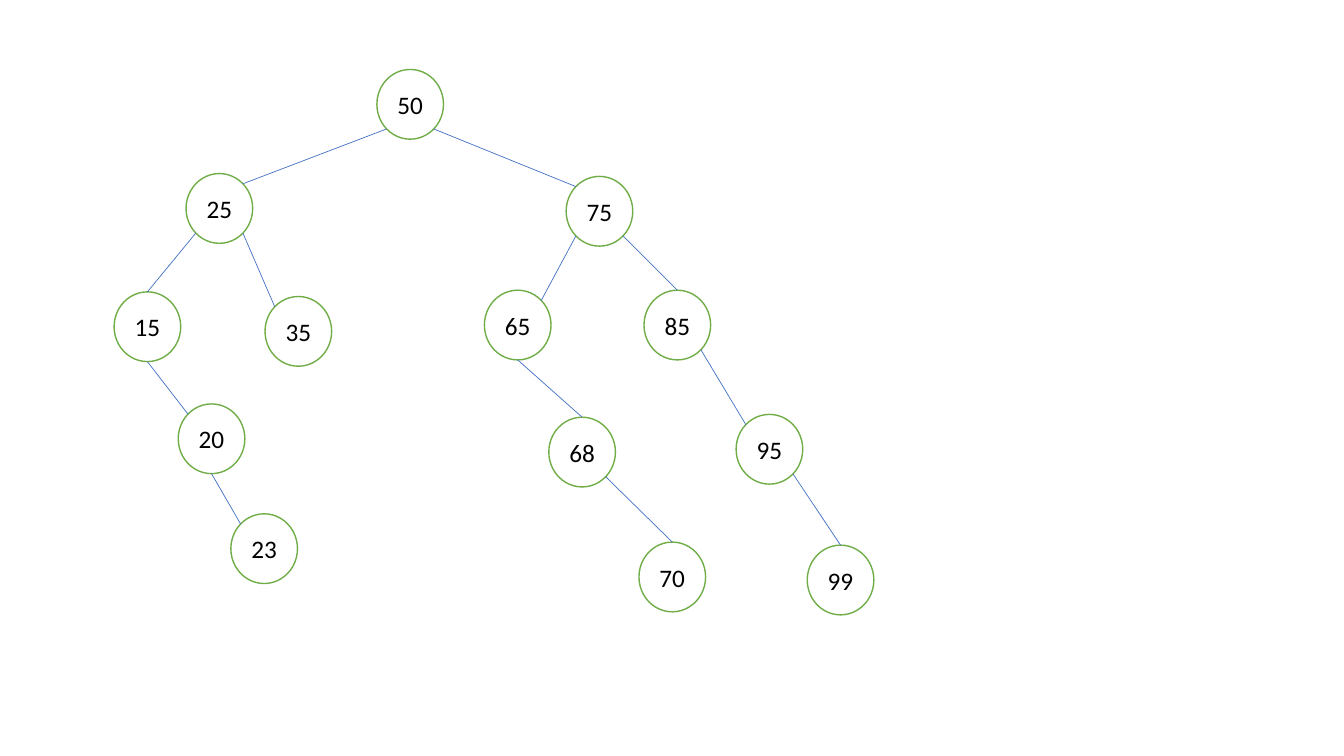
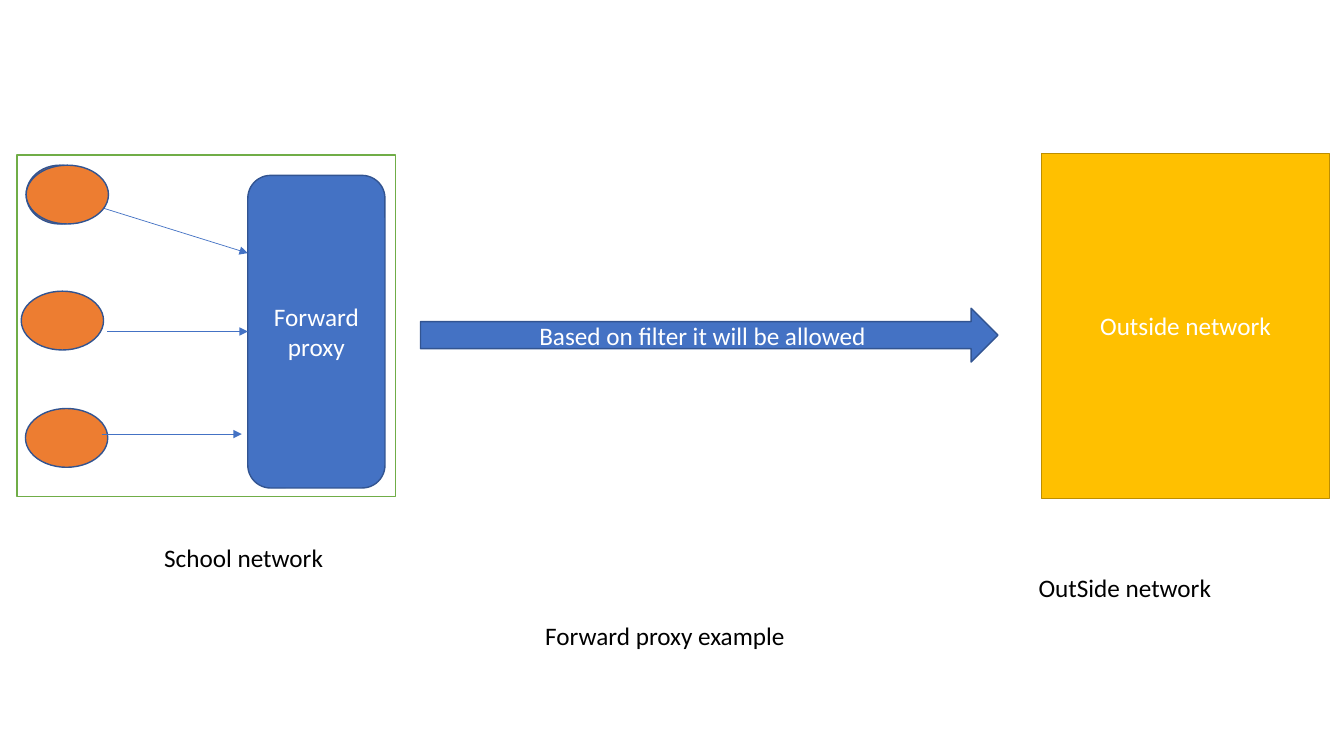
from dataclasses import dataclass

from lxml.etree import SubElement
from pptx import Presentation
from pptx.dml.color import RGBColor
from pptx.enum.shapes import MSO_CONNECTOR as Connector, MSO_SHAPE as Preset
from pptx.enum.text import MSO_ANCHOR as Anchor, MSO_AUTO_SIZE as AutoSize, PP_ALIGN as Align
from pptx.oxml.ns import qn
from pptx.util import Pt


@dataclass(frozen=True)
class Theme:
    font: str = "Calibri"
    text_size: float = 18
    outline: float = 1
    link: float = 0.5
    black: str = "000000"
    white: str = "FFFFFF"
    green: str = "70AD47"
    blue: str = "4472C4"
    navy: str = "325491"
    orange: str = "ED7D31"
    gold: str = "FFC000"
    dark_gold: str = "BD8E00"


@dataclass(frozen=True)
class Box:
    left: float
    top: float
    width: float
    height: float

    def inner(self, left, top, width, height):
        return Box(self.left + left, self.top + top, width, height)

    def point(self, x, y):
        return self.left + x, self.top + y

    def lengths(self):
        return [Pt(value) for value in (self.left, self.top, self.width, self.height)]


THEME = Theme()
PAGE = Box(0, 0, 960, 540)

NODE_WIDTH, NODE_HEIGHT = 47.6, 49.8
NODES = {
    50: (269.2, 49.6),
    25: (132.9, 124),
    75: (404.4, 126),
    15: (81.5, 208.5),
    35: (189.3, 211.8),
    65: (346, 207.3),
    85: (460, 207.3),
    20: (127.3, 288.5),
    68: (392, 298),
    95: (525.8, 296),
    23: (164.9, 367),
    70: (456.4, 387.2),
    99: (576.6, 389.4),
}
DIAGONAL = 0.3536
SITES = {
    "top": (0, 0.5, 0),
    "top left": (1, 0.5 - DIAGONAL, 0.5 - DIAGONAL),
    "bottom left": (3, 0.5 - DIAGONAL, 0.5 + DIAGONAL),
    "bottom": (4, 0.5, 1),
    "bottom right": (5, 0.5 + DIAGONAL, 0.5 + DIAGONAL),
    "top right": (7, 0.5 + DIAGONAL, 0.5 - DIAGONAL),
}
EDGES = [
    (50, "bottom left", 25, "top right"),
    (50, "bottom right", 75, "top left"),
    (25, "bottom left", 15, "top"),
    (25, "bottom right", 35, "top left"),
    (75, "bottom left", 65, "top right"),
    (75, "bottom right", 85, "top"),
    (15, "bottom", 20, "top left"),
    (20, "bottom", 23, "top left"),
    (65, "bottom", 68, "top"),
    (68, "bottom right", 70, "top"),
    (85, "bottom right", 95, "top left"),
    (95, "bottom right", 99, "top"),
]

CLIENT_WIDTH, CLIENT_HEIGHT = 58.8, 42
CLIENTS = [(6.5, 7.2), (3, 97.2), (6, 181)]
REQUESTS = [
    ((55.5, 36), (164.8, 70)),
    ((64.3, 126), (164.8, 126)),
    ((60.5, 199.3), (160.5, 199.3)),
]


def write(frame, text, color, align):
    frame.text = text
    for para in frame.paragraphs:
        para.alignment = align
        for span in para.runs:
            span.font.name = THEME.font
            span.font.size = Pt(THEME.text_size)
            span.font.color.rgb = RGBColor.from_string(color)


def add_figure(page, preset, box, fill, line, text="", color=THEME.white):
    figure = page.shapes.add_shape(preset, *box.lengths())
    figure.shadow.inherit = False
    figure.fill.solid()
    figure.fill.fore_color.rgb = RGBColor.from_string(fill)
    figure.line.color.rgb = RGBColor.from_string(line)
    figure.line.width = Pt(THEME.outline)
    if text:
        figure.text_frame.vertical_anchor = Anchor.MIDDLE
        write(figure.text_frame, text, color, Align.CENTER)
    return figure


def add_link(page, start, end, arrow=False):
    link = page.shapes.add_connector(
        Connector.STRAIGHT, *[Pt(value) for value in (*start, *end)]
    )
    link.line.color.rgb = RGBColor.from_string(THEME.blue)
    link.line.width = Pt(THEME.link)
    if arrow:
        SubElement(link.line._get_or_add_ln(), qn("a:tailEnd"), type="triangle")
    SubElement(link._element.spPr, qn("a:effectLst"))
    return link


def add_caption(page, box, text):
    caption = page.shapes.add_textbox(*box.lengths())
    caption.text_frame.word_wrap = False
    caption.text_frame.auto_size = AutoSize.SHAPE_TO_FIT_TEXT
    write(caption.text_frame, text, THEME.black, Align.LEFT)


def site_point(box, value, site):
    left, top = NODES[value]
    _, across, down = SITES[site]
    return box.point(left + across * NODE_WIDTH, top + down * NODE_HEIGHT)


def glue(link, tag, node, site):
    holder = link._element.find(".//" + qn("p:cNvCxnSpPr"))
    SubElement(holder, qn(tag), id=str(node.shape_id), idx=str(SITES[site][0]))


def draw_tree(page, box):
    nodes = {
        value: add_figure(
            page, Preset.OVAL, box.inner(*place, NODE_WIDTH, NODE_HEIGHT),
            THEME.white, THEME.green, str(value), THEME.black,
        )
        for value, place in NODES.items()
    }
    for parent, parent_site, child, child_site in EDGES:
        link = add_link(
            page, site_point(box, parent, parent_site), site_point(box, child, child_site)
        )
        glue(link, "a:stCxn", nodes[parent], parent_site)
        glue(link, "a:endCxn", nodes[child], child_site)


def draw_school_network(page, box):
    add_figure(page, Preset.RECTANGLE, box, THEME.white, THEME.green)
    add_figure(
        page, Preset.ROUNDED_RECTANGLE, box.inner(164.8, 14.5, 98, 223.3),
        THEME.blue, THEME.navy, "Forward proxy",
    )
    add_figure(
        page, Preset.OVAL, box.inner(*CLIENTS[0], 48.2, CLIENT_HEIGHT),
        THEME.orange, THEME.navy,
    )
    first, *others = [
        (box.point(*start), box.point(*end)) for start, end in REQUESTS
    ]
    add_link(page, *first, arrow=True)
    for place in CLIENTS:
        add_figure(
            page, Preset.OVAL, box.inner(*place, CLIENT_WIDTH, CLIENT_HEIGHT),
            THEME.orange, THEME.navy,
        )
    for start, end in others:
        add_link(page, start, end, arrow=True)
    add_caption(page, box.inner(98, 273, 129.6, 29), "School network")


def draw_outside_network(page, box):
    add_figure(
        page, Preset.RECTANGLE, box, THEME.gold, THEME.dark_gold, "Outside network"
    )
    add_caption(page, box.inner(-9.2, 295.8, 139, 29), "OutSide network")


def draw_filter(page, box):
    add_figure(
        page, Preset.RIGHT_ARROW, box, THEME.blue, THEME.navy,
        "Based on filter it will be allowed",
    )
    add_caption(page, box.inner(82, 219, 187.2, 29), "Forward proxy example")


def draw_proxy(page, box):
    draw_school_network(page, box.inner(12.2, 110.8, 270.5, 244))
    draw_outside_network(page, box.inner(744, 109.6, 205.6, 246.4))
    draw_filter(page, box.inner(300.4, 220.2, 412.5, 38.4))


def main():
    deck = Presentation()
    deck.slide_width, deck.slide_height = Pt(PAGE.width), Pt(PAGE.height)
    for draw in (draw_tree, draw_proxy):
        draw(deck.slides.add_slide(deck.slide_layouts[6]), PAGE)
    deck.save("out.pptx")


if __name__ == "__main__":
    main()
